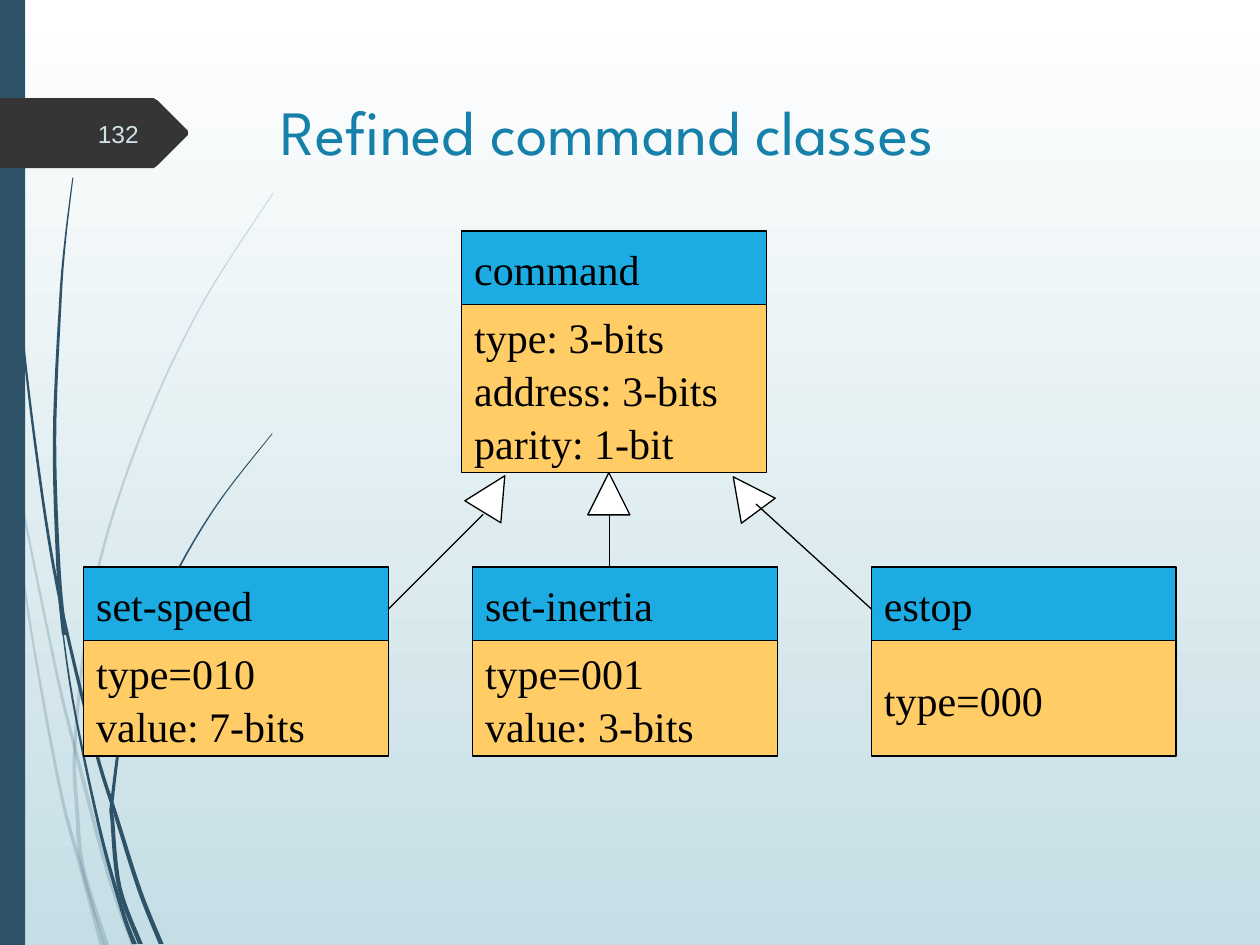
import pptx
import pptx.dml.color
import pptx.enum.dml
import pptx.enum.shapes
import pptx.enum.text
import pptx.oxml
import pptx.oxml.ns
import pptx.util

Cm = pptx.util.Cm
Pt = pptx.util.Pt
RGBColor = pptx.dml.color.RGBColor
Shape = pptx.enum.shapes.MSO_SHAPE
Align = pptx.enum.text.PP_ALIGN
Anchor = pptx.enum.text.MSO_ANCHOR

BLACK = RGBColor(0x00, 0x00, 0x00)
WHITE = RGBColor(0xFF, 0xFF, 0xFF)
PALE_BLUE = RGBColor(0xC5, 0xDE, 0xE5)
DARK_BLUE = RGBColor(0x2E, 0x53, 0x69)
TITLE_BLUE = RGBColor(0x15, 0x81, 0xAA)
NAME_BLUE = RGBColor(0x1C, 0xAC, 0xE3)
BODY_YELLOW = RGBColor(0xFF, 0xCC, 0x66)
TAG_GREY = RGBColor(0x35, 0x35, 0x35)
NUMBER_BLUE = RGBColor(0xCF, 0xE2, 0xE7)

BOX_WIDTH, NAME_HEIGHT = 6.14, 1.48

# Centre lines of the swooping strands, in centimetres
PALE_STRANDS = [
    [(0, 7.4), (0.2, 8.9), (1.07, 13.23), (1.5, 15.04), (2.18, 17.6), (2.69, 19.05)],
    [(0.2, 8.9), (0.51, 11.94), (1.18, 15.75), (1.63, 17.48), (2.06, 19.05)],
    [(5.51, 3.89), (4.03, 6.21), (2.81, 8.85), (1.92, 11.72), (1.52, 14.83),
     (1.56, 16.41), (1.68, 17.53), (2.15, 19.05)],
]
DARK_STRANDS = [
    [(0.06, 0), (0.14, 2.79), (0.37, 5.92), (0.72, 9.02), (1.17, 11.9),
     (1.9, 15.01), (2.35, 16.48), (2.82, 17.96), (3.25, 19.03)],
    [(1.19, 12.12), (1.47, 14.13), (2.01, 16.71), (2.46, 18.34), (2.71, 19.03)],
    [(1.47, 3.58), (1.31, 4.9), (1.21, 6.2), (1.1, 8.86), (1.18, 11.46), (1.3, 12.8)],
    [(5.49, 8.74), (4.29, 10.3), (3.3, 12.07), (2.59, 14.01), (2.27, 16.05),
     (2.27, 16.59), (2.41, 17.9), (2.83, 19.03)],
]
TAG_OUTLINE = [(0, 1.98), (3.1, 1.98), (3.18, 2.03), (3.79, 2.64),
               (3.79, 2.72), (3.18, 3.33), (3.1, 3.39), (0, 3.39)]

# Left, top, body height, class name, attributes
CLASSES = [
    (9.31, 4.66, 3.39, "command", "type: 3-bits\naddress: 3-bits\nparity: 1-bit"),
    (9.53, 11.43, 2.33, "set-inertia", "type=001\nvalue: 3-bits"),
    (1.69, 11.43, 2.33, "set-speed", "type=010\nvalue: 7-bits"),
    (17.57, 11.43, 2.33, "estop", "type=000"),
]
# Triangle left and rotation, then line start and end
INHERITANCE = [
    (11.85, 0, (12.28, 10.37), (12.28, 11.43)),
    (9.53, 31.4, (9.74, 10.37), (7.83, 12.28)),
    (14.61, 323.5, (15.24, 10.16), (17.57, 12.28)),
]


def write_text(frame, text, size=24, font="Times New Roman", color=BLACK,
               align=Align.LEFT, anchor=Anchor.MIDDLE, spacing=1.0):
    frame.word_wrap = True
    frame.auto_size = pptx.enum.text.MSO_AUTO_SIZE.NONE
    frame.vertical_anchor = anchor
    frame.text = text
    for paragraph in frame.paragraphs:
        paragraph.alignment = align
        paragraph.line_spacing = spacing
        paragraph.font.size = Pt(size)
        paragraph.font.name = font
        paragraph.font.color.rgb = color


def smooth_curve(points, steps=6):
    """Sample a Catmull-Rom curve through the points."""
    padded = [points[0], *points, points[-1]]
    curve = []
    for a, b, c, d in zip(padded, padded[1:], padded[2:], padded[3:]):
        for step in range(steps):
            t = step / steps
            curve.append(tuple(
                q + t / 2 * (r - p + t * (2 * p - 5 * q + 4 * r - s
                                          + t * (3 * (q - r) + s - p)))
                for p, q, r, s in zip(a, b, c, d)))
    return curve + [points[-1]]


class SlideBuilder:
    def __init__(self, slide, line_width=0.75):
        self.slide = slide
        self.shapes = slide.shapes
        self.line_width = Pt(line_width)

    def background(self, top, bottom):
        fill = self.slide.background.fill
        fill.gradient()
        fill.gradient_angle = 270
        for stop, color in zip(fill.gradient_stops, (top, bottom)):
            stop.color.rgb = color

    def paint(self, shape, fill, outlined=False, opacity=100):
        shape.shadow.inherit = False
        shape.fill.solid()
        shape.fill.fore_color.rgb = fill
        if outlined:
            shape.line.color.rgb = BLACK
            shape.line.width = self.line_width
        else:
            shape.line.fill.background()
        if opacity < 100:
            color = shape.fill._xPr.find(".//" + pptx.oxml.ns.qn("a:srgbClr"))
            alpha = pptx.oxml.ns.qn("a:alpha")
            color.makeelement(alpha)
            color.append(color.makeelement(alpha, {"val": str(opacity * 1000)}))

    def preset(self, kind, left, top, width, height, fill, **paint):
        shape = self.shapes.add_shape(kind, Cm(left), Cm(top), Cm(width), Cm(height))
        self.paint(shape, fill, **paint)
        return shape

    def polygon(self, points, fill, **paint):
        points = [(Cm(x), Cm(y)) for x, y in points]
        builder = self.shapes.build_freeform(*points[0])
        builder.add_line_segments(points[1:], close=True)
        self.paint(builder.convert_to_shape(), fill, **paint)

    def strand(self, points, start_width=0.02, end_width=0.1, **paint):
        curve = smooth_curve(points)
        growth = (end_width - start_width) / (len(curve) - 1)
        halves = [(start_width + growth * i) / 2 for i in range(len(curve))]
        left = [(x - half, y) for (x, y), half in zip(curve, halves)]
        right = [(x + half, y) for (x, y), half in zip(curve, halves)]
        self.polygon(left + right[::-1], DARK_BLUE, **paint)

    def title(self, text):
        title = self.shapes.title
        title.left, title.top = Cm(5.41), Cm(1.73)
        title.width, title.height = Cm(18.31), Cm(3.56)
        write_text(title.text_frame, text, size=36, font="League Spartan",
                   color=TITLE_BLUE, anchor=Anchor.TOP)

    def slide_number(self, text):
        box = self.shapes.add_textbox(Cm(1.42), Cm(2.18), Cm(1.63), Cm(1.02))
        write_text(box.text_frame, text, size=14, font="Arial",
                   color=NUMBER_BLUE, align=Align.RIGHT)

    def class_box(self, left, top, body_height, name, attributes):
        for y, height, fill, text in (
                (top, NAME_HEIGHT, NAME_BLUE, name),
                (top + NAME_HEIGHT, body_height, BODY_YELLOW, attributes)):
            box = self.preset(Shape.RECTANGLE, left, y, BOX_WIDTH, height, fill,
                              outlined=True)
            write_text(box.text_frame, text, spacing=1.05)

    def line(self, start, end):
        connector = self.shapes.add_connector(
            pptx.enum.shapes.MSO_CONNECTOR.STRAIGHT,
            *(Cm(value) for value in start + end))
        connector.line.color.rgb = BLACK
        connector.line.width = self.line_width
        properties = connector._element.spPr
        properties.append(properties.makeelement(pptx.oxml.ns.qn("a:effectLst")))


def main():
    presentation = pptx.Presentation()
    presentation.slide_width, presentation.slide_height = Cm(25.4), Cm(19.05)
    slide = presentation.slides.add_slide(presentation.slide_layouts[5])
    builder = SlideBuilder(slide)

    # Backdrop
    builder.background(WHITE, PALE_BLUE)
    for points in PALE_STRANDS:
        builder.strand(points, opacity=20)
    for points in DARK_STRANDS:
        builder.strand(points)
    builder.preset(Shape.RECTANGLE, 0, 0, 0.51, 19.05, DARK_BLUE)
    builder.polygon(TAG_OUTLINE, TAG_GREY)

    # Title and slide number
    builder.title("Refined command classes")
    builder.slide_number("132")

    # Class diagram
    for class_details in CLASSES:
        builder.class_box(*class_details)
    for left, rotation, start, end in INHERITANCE:
        triangle = builder.preset(Shape.ISOSCELES_TRIANGLE, left, 9.53, 0.85, 0.85,
                                  WHITE, outlined=True)
        triangle.rotation = rotation
        builder.line(start, end)

    presentation.save("out.pptx")


if __name__ == "__main__":
    main()
